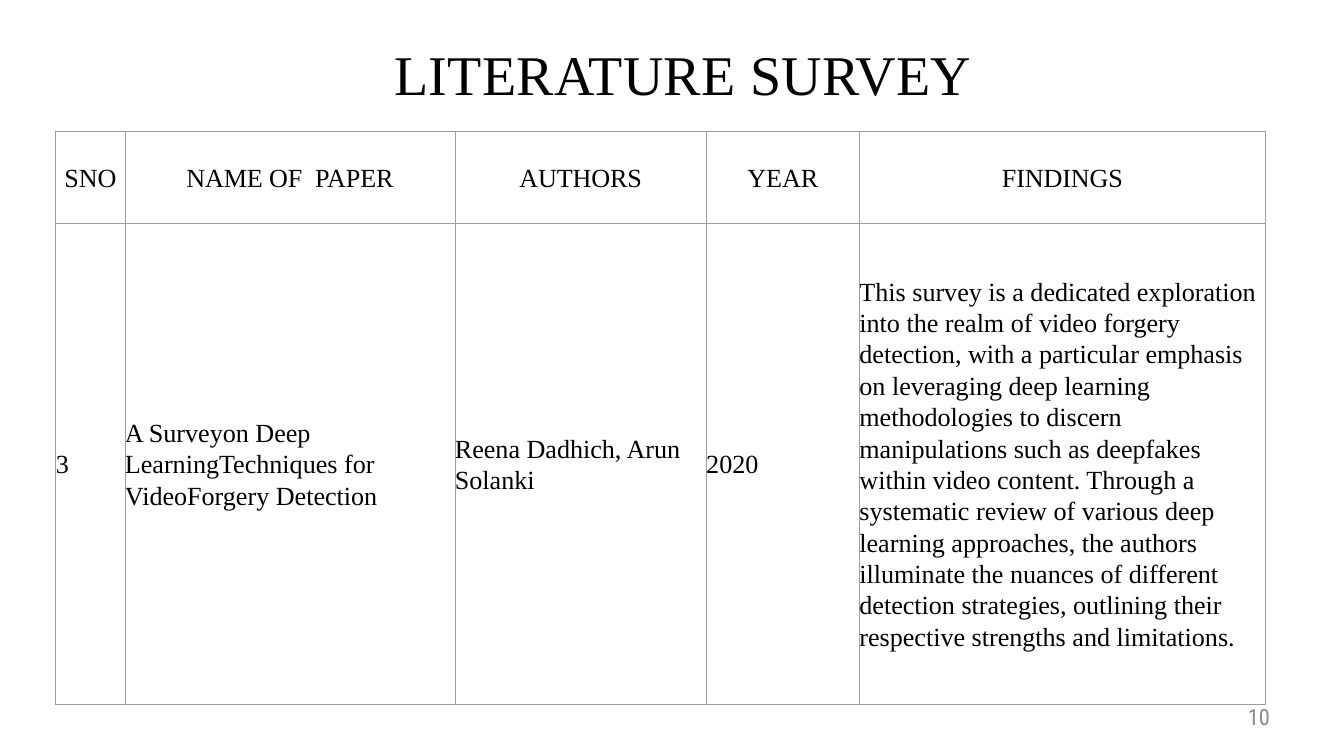
"""Build the literature survey slide with its table of reviewed papers."""
import lxml.etree
import pptx
import pptx.dml.color
import pptx.enum.text
import pptx.oxml.ns
import pptx.util

Inches = pptx.util.Inches
Pt = pptx.util.Pt
Align = pptx.enum.text.PP_ALIGN
Anchor = pptx.enum.text.MSO_ANCHOR

COLUMN_WIDTHS = [1.03, 4.91, 3.74, 2.28, 6.04]
ROW_HEIGHTS = [1.36, 7.16]
HEADINGS = ["SNO", "NAME OF  PAPER", "AUTHORS", "YEAR", "FINDINGS"]
SURVEY = [
    "3",
    "A Surveyon Deep LearningTechniques for VideoForgery Detection",
    "Reena Dadhich, Arun Solanki",
    "2020",
    "This survey is a dedicated exploration into the realm of video forgery "
    "detection, with a particular emphasis on leveraging deep learning "
    "methodologies to discern manipulations such as deepfakes within video "
    "content. Through a systematic review of various deep learning approaches, "
    "the authors illuminate the nuances of different detection strategies, "
    "outlining their respective strengths and limitations.",
]


def paint(target, color):
    target.rgb = pptx.dml.color.RGBColor.from_string(color)


def write(frame, text, *, size, font="Times New Roman", color="000000",
          align=Align.LEFT, tracking=0):
    para = frame.paragraphs[0]
    para.alignment = align
    para.line_spacing = Pt(size * 1.2)
    span = para.add_run()
    span.text = text
    span.font.name = font
    span.font.size = Pt(size)
    paint(span.font.color, color)
    span._r.get_or_add_rPr().set("spc", str(round(tracking * 100)))


class Slide:
    def __init__(self, deck):
        self.page = deck.slides.add_slide(deck.slide_layouts[6])
        self.border_color = "9E9E9E"
        self.border_width = Pt(0.75)
        self.cell_fill = "FFFFFF"

    def text(self, left, top, width, height, text, **style):
        box = self.page.shapes.add_textbox(
            Inches(left), Inches(top), Inches(width), Inches(height))
        frame = box.text_frame
        frame.word_wrap = True
        frame.margin_left = frame.margin_right = 0
        frame.margin_top = frame.margin_bottom = 0
        write(frame, text, **style)

    def border(self, cell):
        properties = cell._tc.get_or_add_tcPr()
        qn = pptx.oxml.ns.qn
        for side in ("a:lnL", "a:lnR", "a:lnT", "a:lnB"):
            line = lxml.etree.SubElement(
                properties, qn(side), w=str(self.border_width))
            fill = lxml.etree.SubElement(line, qn("a:solidFill"))
            lxml.etree.SubElement(fill, qn("a:srgbClr"), val=self.border_color)

    def cell(self, cell, text, **style):
        self.border(cell)
        cell.fill.solid()
        paint(cell.fill.fore_color, self.cell_fill)
        cell.margin_left = cell.margin_right = 0
        cell.margin_top = cell.margin_bottom = 0
        cell.vertical_anchor = Anchor.MIDDLE
        write(cell.text_frame, text, size=28, **style)

    def table(self, left, top, widths, heights, rows):
        table = self.page.shapes.add_table(
            len(heights), len(widths), Inches(left), Inches(top),
            Inches(sum(widths)), Inches(sum(heights))).table
        table.horz_banding = False
        table.first_row = False
        for column, width in zip(table.columns, widths):
            column.width = Inches(width)
        for row, height in zip(table.rows, heights):
            row.height = Inches(height)
        for row, (texts, style) in zip(table.rows, rows):
            for cell, text in zip(row.cells, texts):
                self.cell(cell, text, **style)


def main():
    deck = pptx.Presentation()
    deck.slide_width = Inches(20)
    deck.slide_height = Inches(11.25)
    slide = Slide(deck)
    slide.text(1.33, 0.59, 17.67, 1.16, "LITERATURE SURVEY",
               size=60, align=Align.CENTER, tracking=0.3)
    slide.table(0.83, 1.96, COLUMN_WIDTHS, ROW_HEIGHTS, [
        (HEADINGS, {"align": Align.CENTER, "tracking": -0.1}),
        (SURVEY, {}),
    ])
    slide.text(14.43, 10.47, 4.47, 0.51, "10", size=24, align=Align.RIGHT,
               font="Roboto Condensed", color="898989", tracking=0.2)
    deck.save("out.pptx")


if __name__ == "__main__":
    main()
